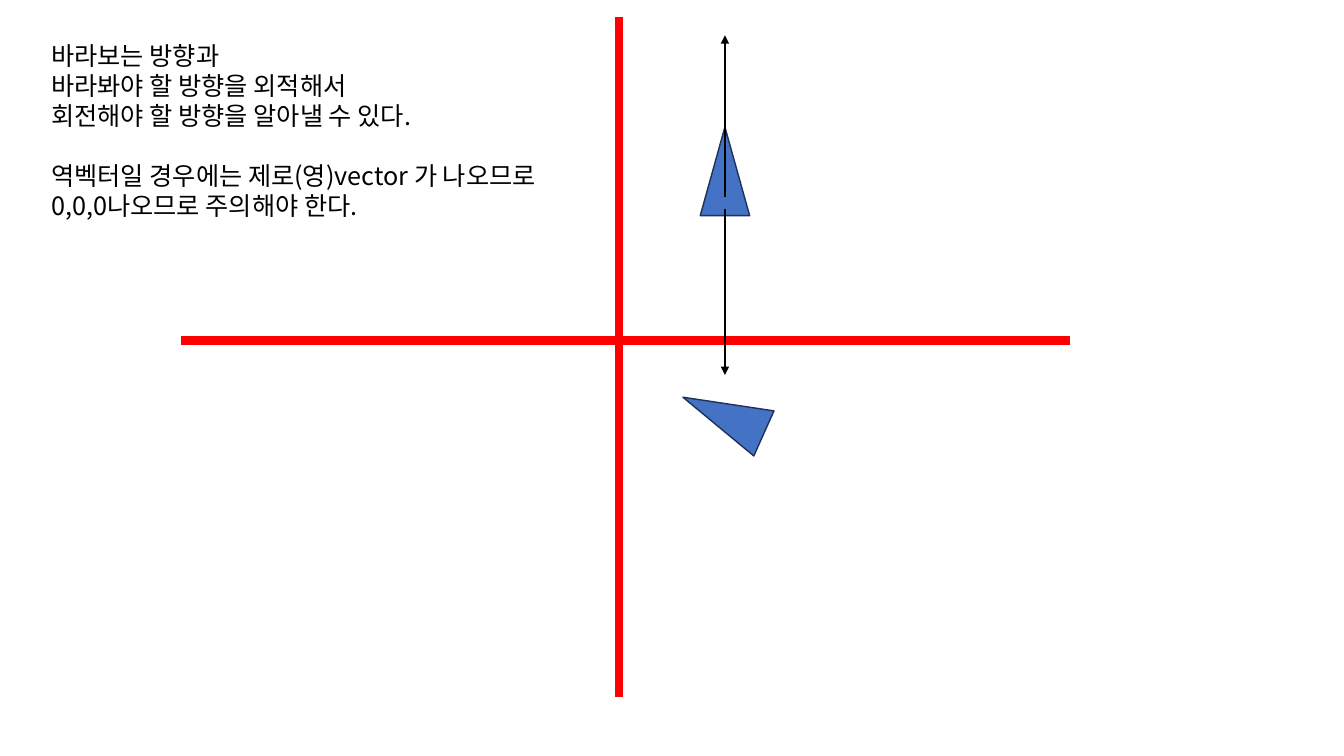
from lxml.etree import SubElement
from pptx import Presentation
from pptx.dml.color import RGBColor
from pptx.enum.shapes import MSO_CONNECTOR as Connector, MSO_SHAPE as Shape
from pptx.oxml.ns import qn
from pptx.util import Inches, Pt

WIDTH, HEIGHT = 13.33, 7.5
FONT = "Noto Sans CJK KR"
LINE_PITCH = 21.5
COLORS = {"axis": "FF0000", "agent": "4472C4", "agent_edge": "1E3256", "ink": "000000"}

AXIS_X, AXIS_Y = 6.14, 3.38
ARROW_X = 7.19
AGENT_WIDTH, AGENT_HEIGHT = 0.49, 0.88

# Each inner list is one block of lines, set apart by a line's height
EXPLANATION = [
    ["바라보는 방향과", "바라봐야 할 방향을 외적해서", "회전해야 할 방향을 알아낼 수 있다."],
    ["역벡터일 경우에는 제로(영)vector 가 나오므로", "0,0,0나오므로 주의해야 한다."],
]


def color(name):
    return RGBColor.from_string(COLORS[name])


def add_line(slide, start, end, color_name, weight, arrow=False):
    connector = slide.shapes.add_connector(
        Connector.STRAIGHT, *(Inches(value) for value in (*start, *end)))
    connector.line.color.rgb = color(color_name)
    connector.line.width = Pt(weight)
    if arrow:
        SubElement(connector.line._get_or_add_ln(), qn("a:tailEnd"), type="triangle")
    SubElement(connector._element.spPr, qn("a:effectLst"))


def add_agent(slide, left, top, rotation=0):
    agent = slide.shapes.add_shape(
        Shape.ISOSCELES_TRIANGLE, Inches(left), Inches(top),
        Inches(AGENT_WIDTH), Inches(AGENT_HEIGHT))
    agent.rotation = rotation
    agent.shadow.inherit = False
    agent.fill.solid()
    agent.fill.fore_color.rgb = color("agent")
    agent.line.color.rgb = color("agent_edge")
    agent.line.width = Pt(1)


def format_run(run):
    run.font.size = Pt(18)
    run.font.name = FONT
    run.font.color.rgb = color("ink")
    SubElement(run.font._element, qn("a:ea"), typeface=FONT)


def add_explanation(slide, left, top, width, height):
    box = slide.shapes.add_textbox(*(Inches(value) for value in (left, top, width, height)))
    text_frame = box.text_frame
    text_frame.word_wrap = True
    text_frame.text = "\n".join(line for block in EXPLANATION for line in block)
    for paragraph in text_frame.paragraphs:
        paragraph.line_spacing = Pt(LINE_PITCH)
        for run in paragraph.runs:
            format_run(run)
    second_block = text_frame.paragraphs[len(EXPLANATION[0])]
    second_block.space_before = Pt(LINE_PITCH)


def main():
    presentation = Presentation()
    presentation.slide_width = Inches(WIDTH)
    presentation.slide_height = Inches(HEIGHT)
    slide = presentation.slides.add_slide(presentation.slide_layouts[6])

    # Axes
    add_line(slide, (AXIS_X, 0.17), (AXIS_X, 6.91), "axis", 6)
    add_line(slide, (1.8, AXIS_Y), (10.61, AXIS_Y), "axis", 6)

    # Agents: one facing up, one turned
    add_agent(slide, ARROW_X - AGENT_WIDTH / 2, 1.26)
    add_agent(slide, 6.93, 3.68, rotation=294.1)

    # Opposite direction vectors
    add_line(slide, (ARROW_X, 1.95), (ARROW_X, 0.35), "ink", 1.5, arrow=True)
    add_line(slide, (ARROW_X, 2.07), (ARROW_X, 3.72), "ink", 1.5, arrow=True)

    # Explanation
    add_explanation(slide, 0.41, 0.35, WIDTH / 2, 2.22)

    presentation.save("out.pptx")


if __name__ == "__main__":
    main()
